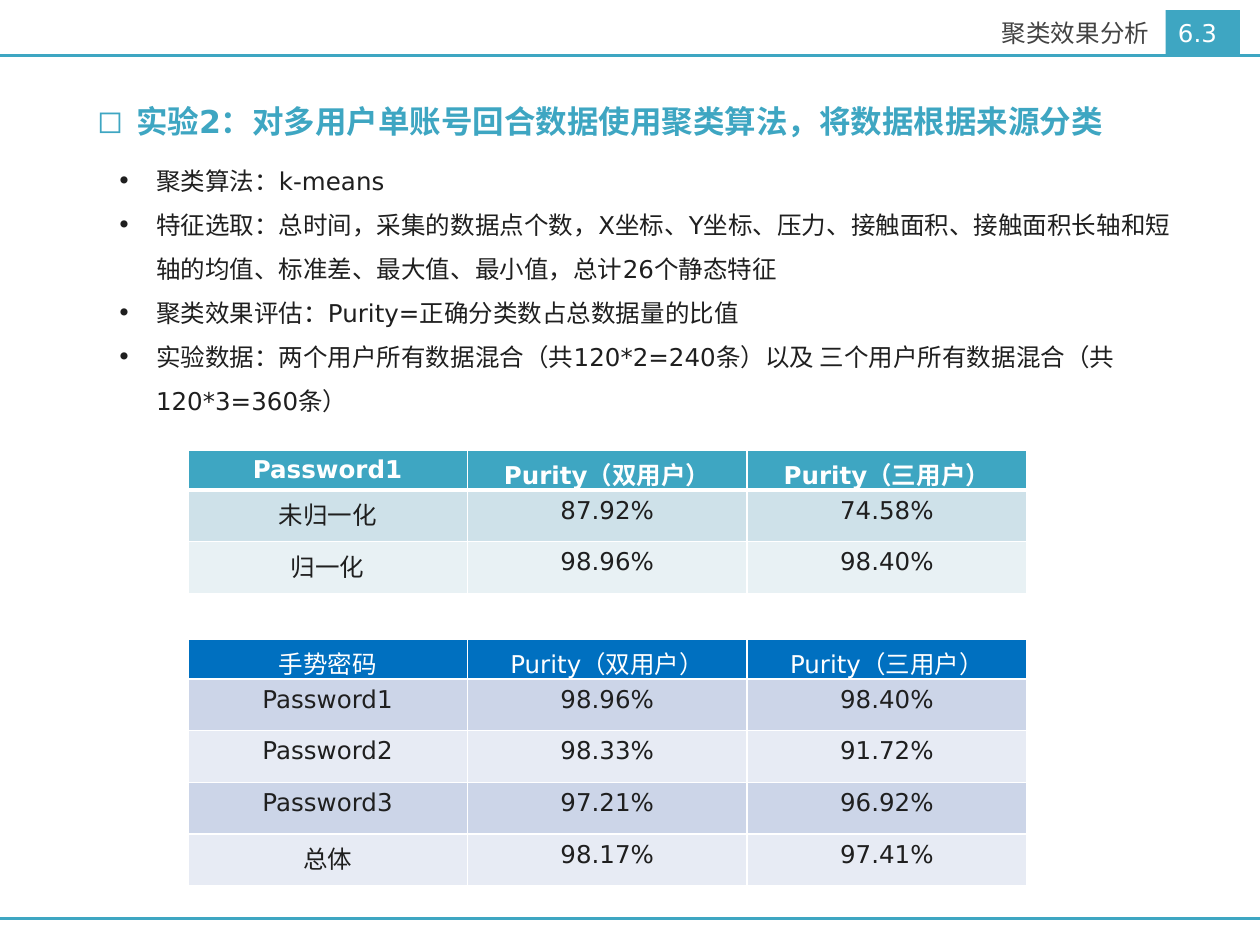
from lxml.etree import SubElement
from pptx import Presentation
from pptx.dml.color import RGBColor
from pptx.enum.shapes import MSO_CONNECTOR, MSO_SHAPE
from pptx.enum.text import MSO_ANCHOR, MSO_AUTO_SIZE, PP_ALIGN
from pptx.oxml import parse_xml
from pptx.oxml.ns import nsdecls, qn
from pptx.util import Inches, Pt

FONT = "DejaVu Sans"
COLORS = {
    "teal": "3EA6C2", "teal_dark_band": "CEE1E9", "teal_light_band": "E8F1F4",
    "blue": "0070C0", "blue_dark_band": "CCD5E8", "blue_light_band": "E7EBF4",
    "section": "434343", "text": "1F1F1F", "white": "FFFFFF",
}
BULLETS = [
    "聚类算法：k-means",
    "特征选取：总时间，采集的数据点个数，X坐标、Y坐标、压力、接触面积、"
    "接触面积长轴和短轴的均值、标准差、最大值、最小值，总计26个静态特征",
    "聚类效果评估：Purity=正确分类数占总数据量的比值",
    "实验数据：两个用户所有数据混合（共120*2=240条）以及 三个用户所有数据混合（共120*3=360条）",
]
NORMALIZATION_ROWS = [
    ["Password1", "Purity（双用户）", "Purity（三用户）"],
    ["未归一化", "87.92%", "74.58%"],
    ["归一化", "98.96%", "98.40%"],
]
PASSWORD_ROWS = [
    ["手势密码", "Purity（双用户）", "Purity（三用户）"],
    ["Password1", "98.96%", "98.40%"],
    ["Password2", "98.33%", "91.72%"],
    ["Password3", "97.21%", "96.92%"],
    ["总体", "98.17%", "97.41%"],
]


def color(name):
    return RGBColor.from_string(COLORS[name])


def format_text(text_frame, color_name, size=14, bold=False, align=PP_ALIGN.LEFT):
    for paragraph in text_frame.paragraphs:
        paragraph.alignment = align
        for run in paragraph.runs:
            run.font.name = FONT
            run.font.size = Pt(size)
            run.font.bold = bold
            run.font.color.rgb = color(color_name)


def add_bullet(paragraph, character):
    properties = paragraph._p.get_or_add_pPr()
    properties.set("marL", str(Inches(0.31)))
    properties.set("indent", str(-Inches(0.31)))
    SubElement(properties, qn("a:buFont")).set("typeface", FONT)
    SubElement(properties, qn("a:buChar")).set("char", character)


def add_rule(slide, top):
    rule = slide.shapes.add_connector(
        MSO_CONNECTOR.STRAIGHT, 0, Inches(top), Inches(10), Inches(top))
    rule.line.color.rgb = color("teal")
    rule.line.width = Pt(1.5)
    SubElement(rule._element.spPr, qn("a:effectLst"))


def add_section_label(slide):
    label = slide.shapes.add_textbox(Inches(6.92), Inches(0.08), Inches(2.3), Inches(0.36))
    label.text_frame.text = "聚类效果分析"
    format_text(label.text_frame, "section", align=PP_ALIGN.RIGHT)

    number = slide.shapes.add_shape(
        MSO_SHAPE.RECTANGLE, Inches(9.25), Inches(0.08), Inches(0.59), Inches(0.36))
    number.shadow.inherit = False
    number.fill.solid()
    number.fill.fore_color.rgb = color("teal")
    number.line.fill.background()
    number.text_frame.text = "6.3"
    format_text(number.text_frame, "white")

    for shape in (label, number):
        shape.text_frame.word_wrap = True
        shape.text_frame.vertical_anchor = MSO_ANCHOR.MIDDLE


def set_title(slide, text):
    title = slide.shapes.title
    title.left, title.top = Inches(0.67), Inches(0.76)
    title.width, title.height = Inches(8.32), Inches(0.4)
    text_frame = title.text_frame
    text_frame.text = text
    text_frame.auto_size = MSO_AUTO_SIZE.NONE
    format_text(text_frame, "teal", size=18, bold=True)
    add_bullet(text_frame.paragraphs[0], "◻")


def add_bullet_list(slide, lines):
    box = slide.shapes.add_textbox(Inches(0.83), Inches(1.15), Inches(8.61), Inches(2.49))
    text_frame = box.text_frame
    text_frame.word_wrap = True
    text_frame.text = "\n".join(lines)
    format_text(text_frame, "text")
    for paragraph in text_frame.paragraphs:
        paragraph.line_spacing = 1.5
        add_bullet(paragraph, "•")


def set_borders(cell, bottom_width):
    properties = cell._tc.get_or_add_tcPr()
    widths = {"lnL": 1, "lnR": 1, "lnT": 1, "lnB": bottom_width}
    for position, (side, width) in enumerate(widths.items()):
        properties.insert(position, parse_xml(
            f'<a:{side} {nsdecls("a")} w="{Pt(width)}"><a:solidFill>'
            f'<a:srgbClr val="{COLORS["white"]}"/></a:solidFill></a:{side}>'))


def add_purity_table(slide, top, rows, theme, bold_header, header_rule):
    """Draw a header row in the theme colour above alternating bands of it."""
    header_height, row_height, column_width = 0.32, 0.41, 2.22
    height = header_height + row_height * (len(rows) - 1)
    columns = len(rows[0])
    table = slide.shapes.add_table(
        len(rows), columns, Inches(1.49), Inches(top),
        Inches(column_width * columns), Inches(height)).table
    bands = [f"{theme}_light_band", f"{theme}_dark_band"]
    for row_index, values in enumerate(rows):
        is_header = row_index == 0
        table.rows[row_index].height = Inches(header_height if is_header else row_height)
        for column_index, value in enumerate(values):
            cell = table.cell(row_index, column_index)
            cell.margin_top, cell.margin_bottom = Inches(0.05), 0
            cell.text_frame.text = value
            format_text(cell.text_frame, "white" if is_header else "text",
                        bold=is_header and bold_header, align=PP_ALIGN.CENTER)
            cell.fill.solid()
            cell.fill.fore_color.rgb = color(theme if is_header else bands[row_index % 2])
            # Neighbouring cells share an edge, so the row below repeats the header rule.
            set_borders(cell, header_rule if is_header else 1)
            if row_index == 1:
                cell._tc.tcPr.find(qn("a:lnT")).set("w", str(Pt(header_rule)))


def main():
    presentation = Presentation()
    presentation.slide_width, presentation.slide_height = Inches(10), Inches(7.5)
    slide = presentation.slides.add_slide(presentation.slide_layouts[5])
    add_rule(slide, 0.44)
    add_rule(slide, 7.29)
    add_section_label(slide)
    set_title(slide, "实验2：对多用户单账号回合数据使用聚类算法，将数据根据来源分类")
    add_bullet_list(slide, BULLETS)
    add_purity_table(slide, 3.57, NORMALIZATION_ROWS, "teal", bold_header=True, header_rule=3)
    add_purity_table(slide, 5.07, PASSWORD_ROWS, "blue", bold_header=False, header_rule=1)
    presentation.save("out.pptx")


if __name__ == "__main__":
    main()
